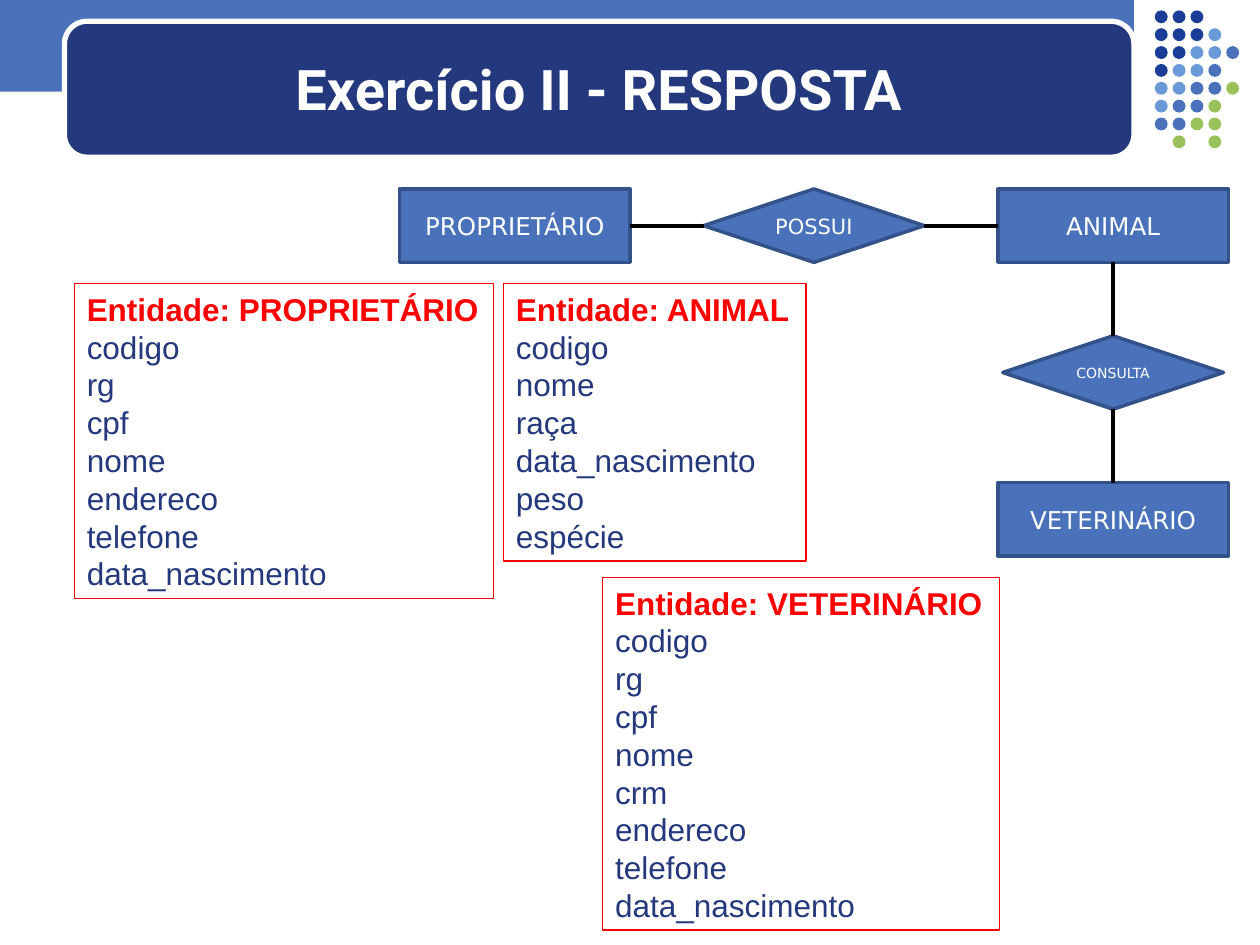
from lxml import etree
from pptx import Presentation
from pptx.dml.color import RGBColor
from pptx.enum.shapes import MSO_CONNECTOR, MSO_SHAPE
from pptx.enum.text import MSO_ANCHOR, MSO_AUTO_SIZE, PP_ALIGN
from pptx.oxml.ns import qn
from pptx.util import Cm, Pt

RECT, ROUND = MSO_SHAPE.RECTANGLE, MSO_SHAPE.ROUNDED_RECTANGLE
DIAMOND, OVAL = MSO_SHAPE.DIAMOND, MSO_SHAPE.OVAL
STRAIGHT = MSO_CONNECTOR.STRAIGHT
MIDDLE, CENTER = MSO_ANCHOR.MIDDLE, PP_ALIGN.CENTER
GROW = MSO_AUTO_SIZE.SHAPE_TO_FIT_TEXT
TOP, LEFT, BOTTOM, RIGHT = range(4)

WHITE = RGBColor(0xFF, 0xFF, 0xFF)
BLACK = RGBColor(0x00, 0x00, 0x00)
RED = RGBColor(0xFF, 0x00, 0x00)
NAVY = RGBColor(0x23, 0x38, 0x7D)
BLUE = RGBColor(0x49, 0x72, 0xBB)
OUTLINE = RGBColor(0x33, 0x52, 0x89)
DEEP = RGBColor(0x1A, 0x3D, 0x97)
SKY = RGBColor(0x6A, 0x99, 0xD8)
GREEN = RGBColor(0x99, 0xC2, 0x5C)

TITLE = "Exercício II - RESPOSTA"

DOT_COLORS = {"D": DEEP, "S": SKY, "B": BLUE, "G": GREEN}
DOT_ROWS = ["DDD", "DDDS", "DDSSB", "DSSB", "SSBBG", "SBBG", "BBGG", " G G"]
DOT_X, DOT_Y, DOT_STEP, DOT_SIZE = 23.28, 0.21, 0.36, 0.26

NODES = {
    "PROPRIETÁRIO": (RECT, 0, 0, 4.65, 14),
    "ANIMAL": (RECT, 2, 0, 4.65, 14),
    "VETERINÁRIO": (RECT, 2, 2, 4.65, 14),
    "POSSUI": (DIAMOND, 1, 0, 4.45, 12),
    "CONSULTA": (DIAMOND, 2, 1, 4.45, 8),
}
NODE_X, NODE_Y, COL_STEP, ROW_STEP, NODE_H = 10.38, 4.55, 6.03, 2.96, 1.48

LINKS = [
    ("PROPRIETÁRIO", RIGHT, "POSSUI", LEFT),
    ("POSSUI", RIGHT, "ANIMAL", LEFT),
    ("CONSULTA", TOP, "ANIMAL", BOTTOM),
    ("VETERINÁRIO", TOP, "CONSULTA", BOTTOM),
]

ENTITIES = [
    ("PROPRIETÁRIO", 1.5, 5.72, 8.45,
     ["codigo", "rg", "cpf", "nome", "endereco", "telefone", "data_nascimento"]),
    ("ANIMAL", 10.15, 5.72, 6.1,
     ["codigo", "nome", "raça", "data_nascimento", "peso", "espécie"]),
    ("VETERINÁRIO", 12.15, 11.64, 8,
     ["codigo", "rg", "cpf", "nome", "crm", "endereco", "telefone", "data_nascimento"]),
]
LINE_H, PADDING = 0.76, 0.27


def add_shape(s, kind, x, y, w, h, fill, line=None, weight=0):
    sp = s.shapes.add_shape(kind, Cm(x), Cm(y), Cm(w), Cm(h))
    sp.shadow.inherit = False
    sp.fill.solid()
    sp.fill.fore_color.rgb = fill
    if line is None:
        sp.line.fill.background()
    else:
        sp.line.color.rgb = line
        sp.line.width = Pt(weight)
    return sp


def add_run(p, text, font, size, color, bold=False):
    r = p.add_run()
    r.text = text
    r.font.name = font
    r.font.size = Pt(size)
    r.font.bold = bold
    r.font.color.rgb = color


def add_centered(sp, text, font, size, bold=False):
    tf = sp.text_frame
    tf.word_wrap = True
    tf.vertical_anchor = MIDDLE
    p = tf.paragraphs[0]
    p.alignment = CENTER
    add_run(p, text, font, size, WHITE, bold)


def add_header(s):
    add_shape(s, RECT, 0, 0, 22.86, 1.85, BLUE)
    add_shape(s, ROUND, 1.3, 0.43, 21.56, 2.74, NAVY, WHITE, 3)
    for row, codes in enumerate(DOT_ROWS):
        for col, code in enumerate(codes):
            if code in DOT_COLORS:
                add_shape(s, OVAL, DOT_X + col * DOT_STEP, DOT_Y + row * DOT_STEP,
                          DOT_SIZE, DOT_SIZE, DOT_COLORS[code])
    title = s.shapes.add_textbox(Cm(1.52), Cm(0.58), Cm(21.11), Cm(2.39))
    add_centered(title, TITLE, "Roboto", 32, True)


def add_diagram(s):
    nodes = {}
    for name, (kind, col, row, w, size) in NODES.items():
        x = NODE_X + col * COL_STEP - w / 2
        y = NODE_Y + row * ROW_STEP - NODE_H / 2
        nodes[name] = add_shape(s, kind, x, y, w, NODE_H, BLUE, OUTLINE, 2)
        add_centered(nodes[name], name, "DejaVu Sans", size)
    for start, start_side, end, end_side in LINKS:
        link = s.shapes.add_connector(STRAIGHT, 0, 0, 0, 0)
        link.begin_connect(nodes[start], start_side)
        link.end_connect(nodes[end], end_side)
        link.line.color.rgb = BLACK
        link.line.width = Pt(2.25)
        etree.SubElement(link._element.spPr, qn("a:effectLst"))


def add_entity(s, name, x, y, w, fields):
    h = LINE_H * (len(fields) + 1) + PADDING
    box = s.shapes.add_textbox(Cm(x), Cm(y), Cm(w), Cm(h))
    box.line.color.rgb = RED
    box.line.width = Pt(0.75)
    tf = box.text_frame
    tf.word_wrap = False
    tf.auto_size = GROW
    add_run(tf.paragraphs[0], f"Entidade: {name}", "Arial", 18, RED, True)
    for field in fields:
        add_run(tf.add_paragraph(), field, "Arial", 18, NAVY)


def main():
    prs = Presentation()
    prs.slide_width, prs.slide_height = Cm(25.4), Cm(19.05)
    s = prs.slides.add_slide(prs.slide_layouts[6])
    add_header(s)
    add_diagram(s)
    for entity in ENTITIES:
        add_entity(s, *entity)
    prs.save("out.pptx")


if __name__ == "__main__":
    main()
